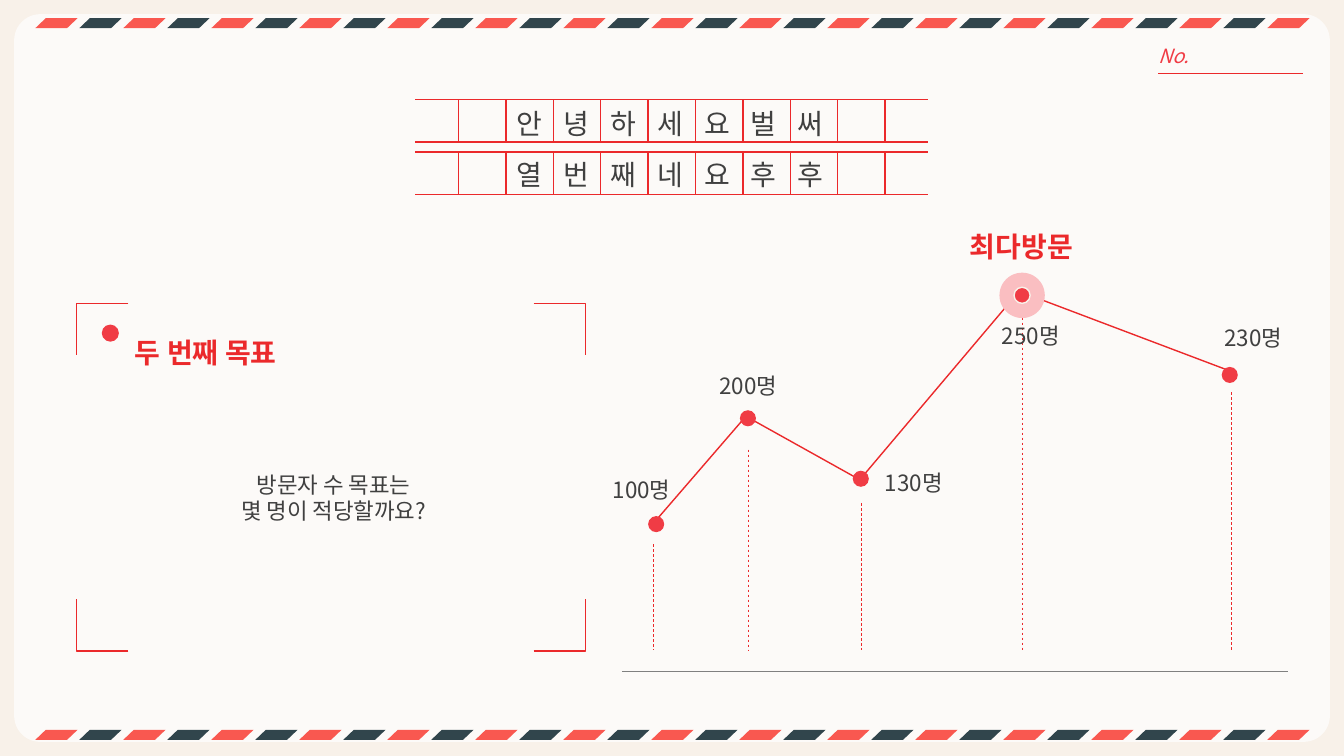
from collections import namedtuple
from dataclasses import dataclass

from lxml.etree import SubElement
from pptx import Presentation
from pptx.dml.color import RGBColor
from pptx.enum.dml import MSO_LINE
from pptx.enum.shapes import MSO_CONNECTOR, MSO_SHAPE
from pptx.enum.text import MSO_AUTO_SIZE, PP_ALIGN
from pptx.oxml.ns import qn
from pptx.util import Emu, Pt


@dataclass(frozen=True)
class Theme:
    font: str = "Noto Sans CJK KR"
    paper: str = "F8F1E9"
    card: str = "FFFFFF"
    coral: str = "F95850"
    navy: str = "31454C"
    rule: str = "EB292B"
    dot: str = "F03C45"
    halo: str = "FABEC1"
    ink: str = "404040"
    base: str = "808080"
    small: int = 14
    body: int = 16
    head: int = 20
    thin: float = 0.5
    line: float = 1


THEME = Theme()
COLS, ROWS = 133.33, 75
CELL = 91440

Visit = namedtuple("Visit", "text turn dot drop label")
VISITS = [
    Visit("100명", (65.1, 51.6), (65.1, 52), (64.8, 54), (58.4, 46.7)),
    Visit("200명", (74, 41.3), (74.2, 41.5), (74.2, 44.6), (69, 36.4)),
    Visit("130명", (85.3, 47.6), (85.4, 47.5), (85.5, 49.9), (85.4, 46.1)),
    Visit("250명", (101.1, 28.9), (101.4, 29.3), (101.4, 31.5), (97, 31.5)),
    Visit("230명", (122, 36.8), (122, 37.2), (122.2, 38.9), (119.1, 31.7)),
]
PEAK = VISITS[3]


def grid(*cells):
    return [Emu(round(n * CELL)) for n in cells]


def tint(hue):
    return RGBColor.from_string(hue)


def stroke(item, hue, width):
    item.line.color.rgb = tint(hue)
    item.line.width = Pt(width)


def add_form(shapes, kind, box, hue, bend=None, edge=None):
    form = shapes.add_shape(kind, *grid(*box))
    form.shadow.inherit = False
    form.fill.solid()
    form.fill.fore_color.rgb = tint(hue)
    if bend is not None:
        form.adjustments[0] = bend
    if edge:
        stroke(form, edge, THEME.line)
    else:
        form.line.fill.background()
    return form


def add_dot(shapes, spot, size, hue, edge=None):
    x, y = spot
    box = (x - size / 2, y - size / 2, size, size)
    add_form(shapes, MSO_SHAPE.OVAL, box, hue, edge=edge)


def add_line(shapes, start, end, hue=THEME.rule, width=THEME.line, dash=False):
    line = shapes.add_connector(MSO_CONNECTOR.STRAIGHT, *grid(*start, *end))
    stroke(line, hue, width)
    if dash:
        line.line.dash_style = MSO_LINE.DASH
    SubElement(line.element.spPr, qn("a:effectLst"))


def add_trail(shapes, spots):
    first, *rest = [grid(*spot) for spot in spots]
    pen = shapes.build_freeform(*first)
    pen.add_line_segments(rest, close=False)
    trail = pen.convert_to_shape()
    trail.shadow.inherit = False
    trail.fill.background()
    stroke(trail, THEME.rule, THEME.line)


def add_text(shapes, box, text, size=THEME.body, hue=THEME.ink, align=PP_ALIGN.CENTER,
             bold=False, slant=False, gap=None, wrap=True):
    label = shapes.add_textbox(*grid(*box))
    frame = label.text_frame
    frame.word_wrap = wrap
    frame.auto_size = MSO_AUTO_SIZE.SHAPE_TO_FIT_TEXT
    frame.text = text
    for para in frame.paragraphs:
        para.alignment = align
        for run in para.runs:
            font = run.font
            font.name, font.size = THEME.font, Pt(size)
            font.bold, font.italic = bold, slant
            font.color.rgb = tint(hue)
            props = run._r.get_or_add_rPr()
            SubElement(props, qn("a:ea"), typeface=THEME.font)
            if gap:
                props.set("spc", str(gap * 100))


def add_stripes(shapes, top):
    band = shapes.add_group_shape().shapes
    for step in range(29):
        hue = (THEME.coral, THEME.navy)[step % 2]
        box = (3.5 + step * 4.365, top, 4.2, 1)
        add_form(band, MSO_SHAPE.PARALLELOGRAM, box, hue, bend=1.05)


def add_frame(shapes):
    card = add_form(shapes, MSO_SHAPE.ROUNDED_RECTANGLE,
                    (1.4, 1.4, COLS - 2.8, ROWS - 2.8), THEME.card, bend=0.036)
    shade = card.element.spPr.find(qn("a:solidFill"))[0]
    SubElement(shade, qn("a:alpha"), val="70000")
    for top in (72.4, 1.8):
        add_stripes(shapes, top)
    add_line(shapes, (114.9, 7.3), (129.3, 7.3))
    add_text(shapes, (113.9, 3.9, 5.1, 3.4), "No.", THEME.small, THEME.dot,
             PP_ALIGN.LEFT, slant=True, wrap=False)


def add_title(shapes):
    rows = [("안녕하세요벌써", 9.9, 10.1), ("열번째네요후후", 15.1, 15.1)]
    for text, top, y in rows:
        boxes = shapes.add_group_shape().shapes
        low = top + 4.2
        for edge in (top, low):
            add_line(boxes, (41.2, edge), (92.1, edge))
        for step in range(10):
            x = 45.5 + step * 4.7
            add_line(boxes, (x, top), (x, low))
        add_text(shapes, (50.3, y, 35.9, 4.4), text, THEME.head,
                 align=PP_ALIGN.LEFT, gap=15)


def add_goal(shapes):
    add_text(shapes, (12.4, 32.8, 20.8, 4.4), "두 번째 목표", THEME.head,
             THEME.rule, PP_ALIGN.LEFT, bold=True)
    add_dot(shapes, (10.95, 33.05), 1.7, THEME.dot)
    add_text(shapes, (20.8, 46.2, 24.6, 6.4), "방문자 수 목표는\n몇 명이 적당할까요?")
    arm = 5.15
    for y, down in ((30.1, arm), (64.6, -arm)):
        pair = shapes.add_group_shape().shapes
        for x, side in ((7.6, arm), (58.1, -arm)):
            add_trail(pair, [(x + side, y), (x, y), (x, y + down)])


def add_visits(shapes):
    add_trail(shapes, [visit.turn for visit in VISITS])
    for visit in VISITS:
        if visit is not PEAK:
            add_dot(shapes, visit.dot, 1.6, THEME.dot)
        x, _ = visit.drop
        add_line(shapes, visit.drop, (x, 64.5), width=THEME.thin, dash=True)
    add_dot(shapes, PEAK.dot, 4.5, THEME.halo)
    add_dot(shapes, PEAK.dot, 1.6, THEME.dot, edge=THEME.paper)
    add_line(shapes, (61.7, 66.6), (127.8, 66.6), THEME.base, THEME.thin)
    add_text(shapes, (94.2, 22.3, 14.3, 4.4), "최다방문", THEME.head,
             THEME.rule, bold=True)
    for visit in VISITS:
        add_text(shapes, (*visit.label, 10.5, 3.7), visit.text)


def main():
    deck = Presentation()
    deck.slide_width, deck.slide_height = grid(COLS, ROWS)
    slide = deck.slides.add_slide(deck.slide_layouts[6])
    slide.background.fill.solid()
    slide.background.fill.fore_color.rgb = tint(THEME.paper)
    for draw in (add_frame, add_visits, add_title, add_goal):
        draw(slide.shapes)
    deck.save("out.pptx")


if __name__ == "__main__":
    main()
